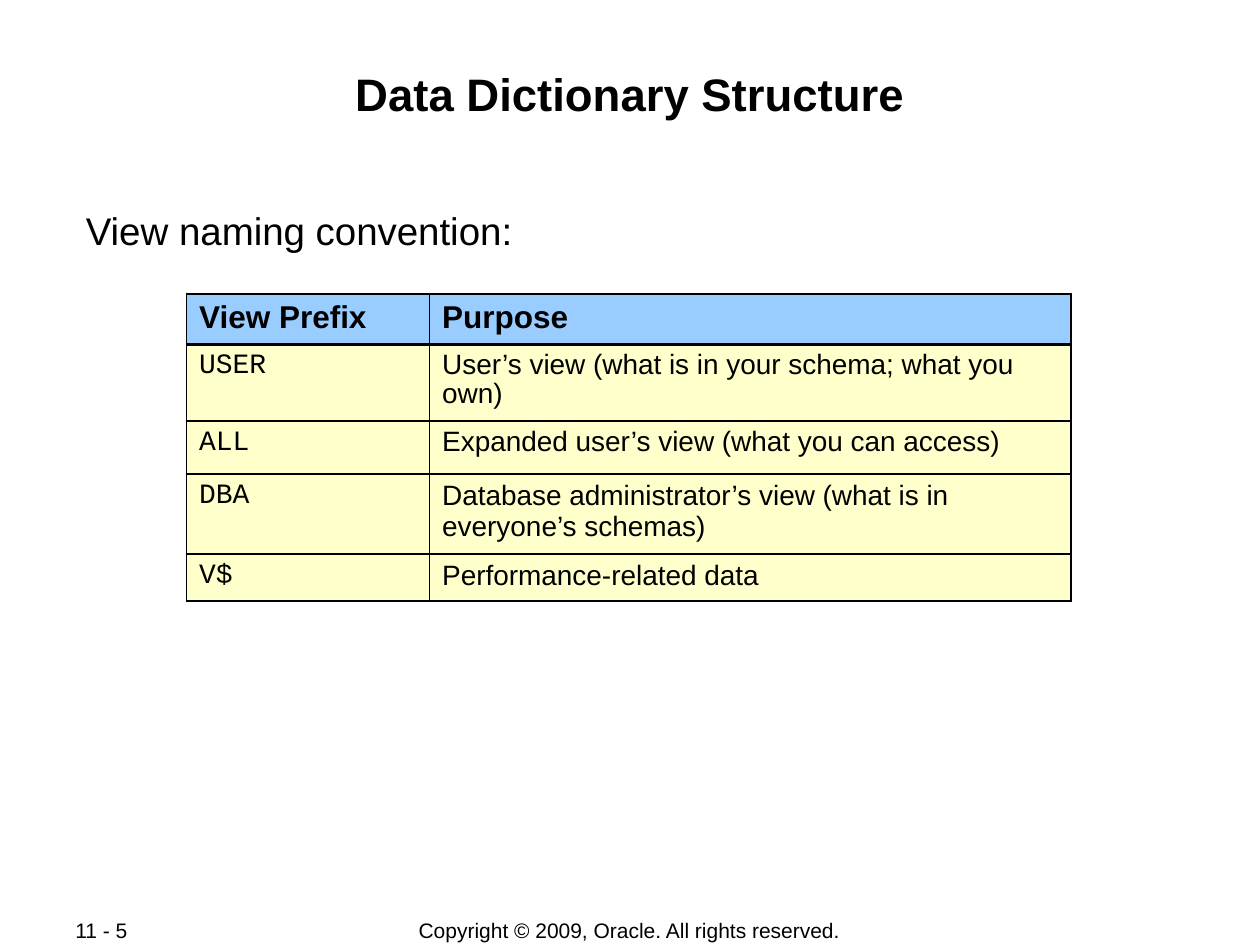
import pptx
import pptx.util
import pptx.dml.color
import pptx.enum.text
import pptx.oxml
import pptx.oxml.ns

Cm = pptx.util.Cm
Pt = pptx.util.Pt
Align = pptx.enum.text.PP_ALIGN
Anchor = pptx.enum.text.MSO_ANCHOR

BLACK, BLUE, CREAM = "000000", "99CCFF", "FFFFCC"
SANS, MONO = "Arial", "Courier New"


def color(code):
    return pptx.dml.color.RGBColor.from_string(code)


class Deck:
    def __init__(self, width, height):
        self.prs = pptx.Presentation()
        self.prs.slide_width, self.prs.slide_height = Cm(width), Cm(height)
        self.slide = None

    def page(self):
        self.slide = self.prs.slides.add_slide(self.prs.slide_layouts[6])

    def add_text(self, par, text, size, face=SANS, bold=False):
        run = par.add_run()
        run.text = text
        run.font.name, run.font.size, run.font.bold = face, Pt(size), bold
        run.font.color.rgb = color(BLACK)

    def label(self, box, text, size, align=Align.LEFT, bold=False,
              pad=(0.03, 0.03), anchor=Anchor.TOP, wrap=True):
        frame = self.slide.shapes.add_textbox(*map(Cm, box)).text_frame
        frame.word_wrap, frame.vertical_anchor = wrap, anchor
        frame.margin_left = frame.margin_right = Cm(pad[0])
        frame.margin_top = frame.margin_bottom = Cm(pad[1])
        par = frame.paragraphs[0]
        par.alignment = align
        self.add_text(par, text, size, bold=bold)

    def edge(self, cell, widths):
        props = cell._tc.get_or_add_tcPr()
        for spot, (side, width) in enumerate(zip("LRTB", widths)):
            props.insert(spot, pptx.oxml.parse_xml(
                f'<a:ln{side} {pptx.oxml.ns.nsdecls("a")} w="{Pt(width)}">'
                f'<a:solidFill><a:srgbClr val="{BLACK}"/></a:solidFill>'
                f'</a:ln{side}>'))

    def table(self, left, top, cols, rows, data, thin=1.08, thick=2.21):
        grid = self.slide.shapes.add_table(
            len(rows), len(cols), Cm(left), Cm(top),
            Cm(sum(cols)), Cm(sum(rows))).table
        for col, width in zip(grid.columns, cols):
            col.width = Cm(width)
        for row, height in zip(grid.rows, rows):
            row.height = Cm(height)
        for r, line in enumerate(data):
            head = r == 0
            for c, text in enumerate(line):
                cell = grid.cell(r, c)
                cell.fill.solid()
                cell.fill.fore_color.rgb = color(BLUE if head else CREAM)
                # A heavier rule parts the header from the body
                self.edge(cell, (thin, thin, thick if r == 1 else thin,
                                 thick if head else thin))
                par = cell.text_frame.paragraphs[0]
                # Prefixes and the first two purposes are set tighter
                if not head and (c == 0 or r < 3):
                    par.line_spacing = 0.95
                face = MONO if c == 0 and not head else SANS
                self.add_text(par, text, 18 if head else 16, face, head)

    def save(self):
        self.prs.save("out.pptx")


def main():
    deck = Deck(25.4, 19.05)
    deck.page()

    # Footer
    foot = dict(pad=(0.25, 0.13), anchor=Anchor.MIDDLE, wrap=False)
    deck.label((6.99, 18.49, 11.4, 0.53),
               "Copyright © 2009, Oracle. All rights reserved.", 12,
               Align.CENTER, **foot)
    deck.label((1.27, 18.49, 2.69, 0.51), "11 - 5", 12, Align.JUSTIFY, **foot)

    # Title and lead line
    deck.label((1.7, 1.3, 22, 2.44), "Data Dictionary Structure", 26,
               Align.CENTER, bold=True)
    deck.label((1.7, 4.14, 22, 0.99), "View naming convention:", 22)

    # View prefixes
    deck.table(3.76, 5.92, (4.9, 12.93), (1.02, 1.55, 1.07, 1.6, 0.94), (
        ("View Prefix", "Purpose"),
        ("USER", "User’s view (what is in your schema; what you own)"),
        ("ALL", "Expanded user’s view (what you can access)"),
        ("DBA", "Database administrator’s view "
                "(what is in everyone’s schemas)"),
        ("V$", "Performance-related data"),
    ))

    deck.save()


if __name__ == "__main__":
    main()
